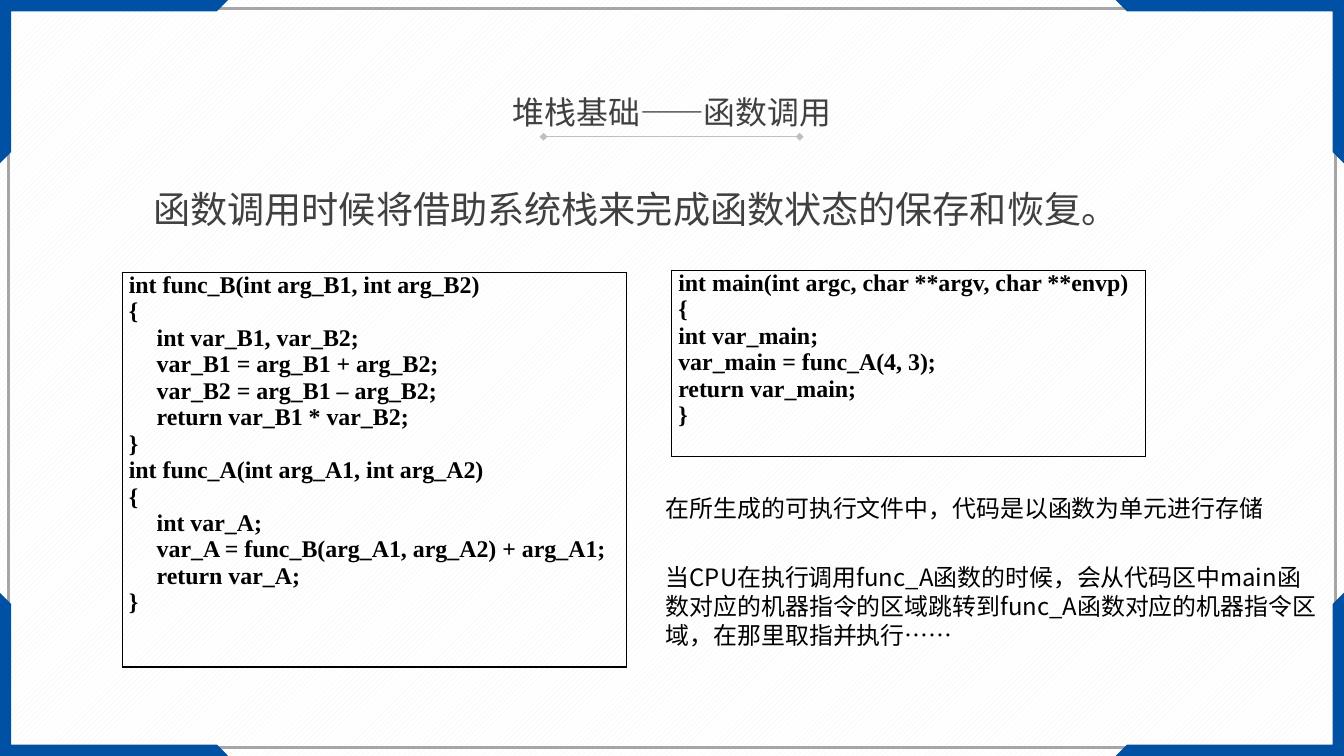
from itertools import product

from lxml.etree import SubElement
from pptx import Presentation
from pptx.dml.color import RGBColor
from pptx.enum.dml import MSO_PATTERN
from pptx.enum.shapes import MSO_CONNECTOR, MSO_SHAPE
from pptx.enum.text import MSO_ANCHOR, MSO_AUTO_SIZE, PP_ALIGN
from pptx.oxml.ns import qn
from pptx.util import Pt

WIDTH, HEIGHT = 1012.5, 569.5
BLUE = RGBColor(0x00, 0x50, 0xA3)
BLACK = RGBColor(0, 0, 0)
DARK = RGBColor(0x40, 0x40, 0x40)
GRAY = RGBColor(0xA6, 0xA6, 0xA6)
SILVER = RGBColor(0xBF, 0xBF, 0xBF)
PALE = RGBColor(0xF2, 0xF2, 0xF2)
WHITE = RGBColor(0xFF, 0xFF, 0xFF)
SANS, SERIF = "Noto Sans CJK SC", "Times New Roman"
INDENT = 21

CODE_LEFT = """\
int func_B(int arg_B1, int arg_B2)
{
    int var_B1, var_B2;
    var_B1 = arg_B1 + arg_B2;
    var_B2 = arg_B1 – arg_B2;
    return var_B1 * var_B2;
}
int func_A(int arg_A1, int arg_A2)
{
    int var_A;
    var_A = func_B(arg_A1, arg_A2) + arg_A1;
    return var_A;
}"""
CODE_RIGHT = """\
int main(int argc, char **argv, char **envp)
{
int var_main;
var_main = func_A(4, 3);
return var_main;
}"""


class Page:
    def __init__(self, slide):
        self.slide = slide
        self.shapes = slide.shapes

    def paper(self):
        fill = self.slide.background.fill
        fill.patterned()
        fill.pattern = MSO_PATTERN.WIDE_UPWARD_DIAGONAL
        fill.fore_color.rgb = PALE
        fill.back_color.rgb = WHITE

    def frame(self, inset):
        box = self.shapes.add_shape(
            MSO_SHAPE.RECTANGLE, Pt(inset), Pt(inset),
            Pt(WIDTH - 2 * inset), Pt(HEIGHT - 2 * inset))
        box.shadow.inherit = False
        box.fill.background()
        box.line.color.rgb = GRAY
        box.line.width = Pt(2)

    def corner(self, right, low, wide=172, tall=123, band=8.5):
        """Draw a bevelled bracket, mirrored to the right or low edge."""
        points = [(0, 0), (wide, 0), (wide - band, band),
                  (band, band), (band, tall - band), (0, tall)]
        points = [(Pt(WIDTH - x if right else x), Pt(HEIGHT - y if low else y))
                  for x, y in points]
        pen = self.shapes.build_freeform(*points[0])
        pen.add_line_segments(points[1:])
        shape = pen.convert_to_shape()
        shape.shadow.inherit = False
        shape.fill.solid()
        shape.fill.fore_color.rgb = BLUE
        shape.line.fill.background()

    def rule(self, left, right, y):
        """Draw a thin line with a diamond at each end."""
        line = self.shapes.add_connector(
            MSO_CONNECTOR.STRAIGHT, Pt(left), Pt(y), Pt(right), Pt(y))
        line.line.color.rgb = SILVER
        line.line.width = Pt(0.5)
        props = line._element.spPr
        for end in ("headEnd", "tailEnd"):
            SubElement(props.get_or_add_ln(), qn(f"a:{end}"), type="diamond")
        SubElement(props, qn("a:effectLst"))

    def add(self, para, text, size, color, font=SANS, bold=False):
        """Append one styled run to a paragraph."""
        run = para.add_run()
        run.text = text
        run.font.size = Pt(size)
        run.font.bold = bold
        run.font.color.rgb = color
        run.font.name = font
        SubElement(run._r.get_or_add_rPr(), qn("a:ea"), typeface=font)

    def fit(self, shape, area, text, size, color, wrap=True,
            align=PP_ALIGN.LEFT, space=1.0):
        """Place a text shape and fill it with one styled paragraph."""
        shape.left, shape.top, shape.width, shape.height = map(Pt, area)
        frame = shape.text_frame
        frame.word_wrap = wrap
        frame.auto_size = MSO_AUTO_SIZE.SHAPE_TO_FIT_TEXT
        frame.vertical_anchor = MSO_ANCHOR.TOP
        para = frame.paragraphs[0]
        para.alignment = align
        para.line_spacing = space
        self.add(para, text, size, color)

    def title(self, area, text):
        self.fit(self.shapes.title, area, text, 24, DARK, False, PP_ALIGN.CENTER)

    def text(self, area, *words, **style):
        self.fit(self.shapes.add_textbox(0, 0, 0, 0), area, *words, **style)

    def code(self, area, source):
        """Show source lines in a one-cell table with a black border."""
        table = self.shapes.add_table(1, 1, *map(Pt, area)).table
        table.first_row = table.horz_banding = False
        cell = table.cell(0, 0)
        cell.margin_left = cell.margin_right = Pt(5)
        cell.margin_top = cell.margin_bottom = 0
        props = cell._tc.get_or_add_tcPr()
        for side in ("lnL", "lnR", "lnT", "lnB"):
            edge = SubElement(props, qn(f"a:{side}"), w=str(Pt(1)))
            fill = SubElement(edge, qn("a:solidFill"))
            SubElement(fill, qn("a:srgbClr"), val=str(BLACK))
        cell.fill.background()
        frame = cell.text_frame
        for i, line in enumerate(source.splitlines()):
            para = frame.add_paragraph() if i else frame.paragraphs[0]
            para.alignment = PP_ALIGN.JUSTIFY
            if line.startswith(" "):
                para._p.get_or_add_pPr().set("indent", str(Pt(INDENT)))
            self.add(para, line.strip(), 18, BLACK, SERIF, True)


def main():
    deck = Presentation()
    deck.slide_width, deck.slide_height = Pt(WIDTH), Pt(HEIGHT)
    page = Page(deck.slides.add_slide(deck.slide_layouts[5]))
    page.paper()
    page.frame(6.5)
    for right, low in product((False, True), repeat=2):
        page.corner(right, low)
    page.rule(409.5, 602.5, 103)
    page.title((376, 66, 260.5, 36), "堆栈基础——函数调用")
    page.text((108.5, 120, 795.5, 52),
              "函数调用时候将借助系统栈来完成函数状态的保存和恢复。",
              28, DARK, align=PP_ALIGN.JUSTIFY, space=1.5)
    page.code((92, 205, 380, 297.5), CODE_LEFT)
    page.code((506, 203.5, 357, 140.5), CODE_RIGHT)
    page.text((494.5, 368, 468.5, 29),
              "在所生成的可执行文件中，代码是以函数为单元进行存储",
              18, BLACK, wrap=False)
    page.text((494.5, 420.5, 506, 72.5),
              "当CPU在执行调用func_A函数的时候，会从代码区中main函数对应的"
              "机器指令的区域跳转到func_A函数对应的机器指令区域，在那里取指并执行……",
              18, BLACK)
    deck.save("out.pptx")


if __name__ == "__main__":
    main()
